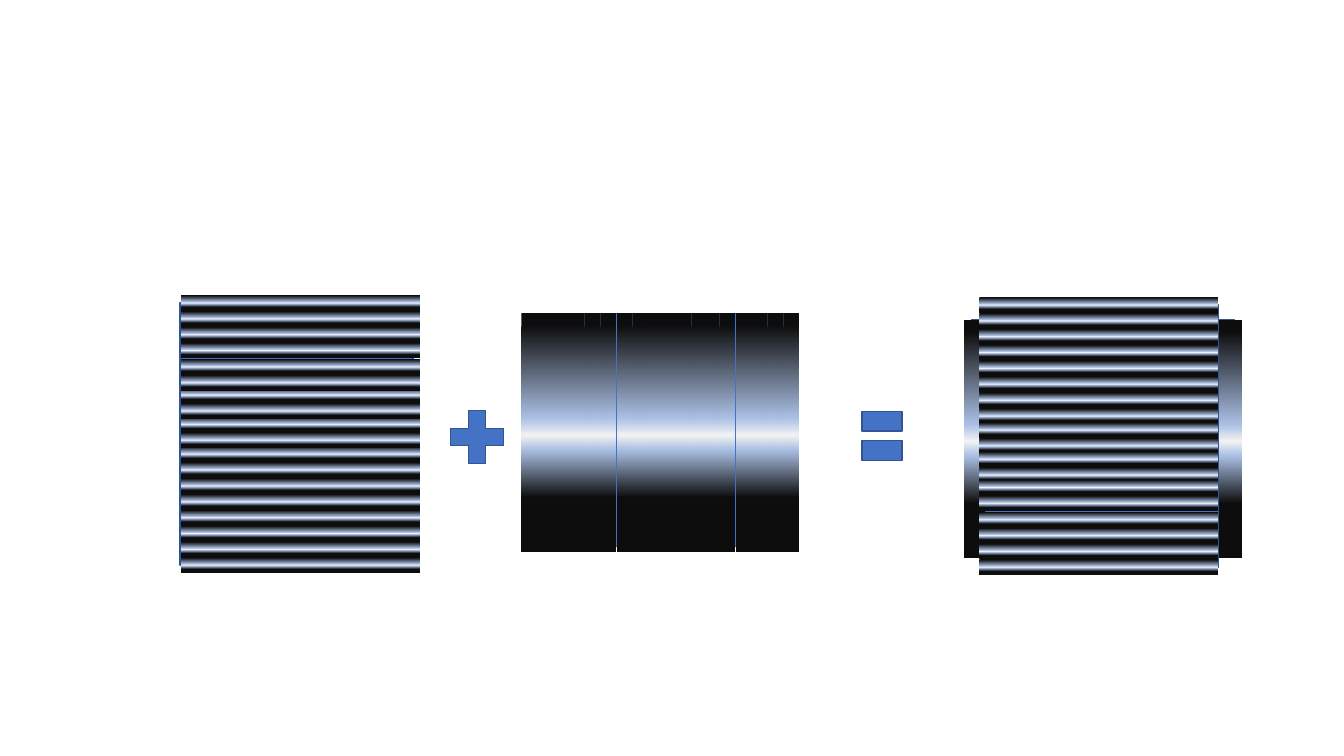
"""Two gratings of gradient bars added together to give a crossed grating."""
from lxml.etree import SubElement
from pptx import Presentation
from pptx.dml.color import RGBColor
from pptx.enum.shapes import MSO_SHAPE as Preset
from pptx.oxml.ns import qn
from pptx.util import Inches, Pt

BLUE = RGBColor(0x44, 0x72, 0xC4)
NAVY = RGBColor(0x32, 0x54, 0x91)
BLACK = RGBColor(0x0D, 0x0D, 0x0D)
SKY = RGBColor(0xAB, 0xC0, 0xE4)
PALE = RGBColor(0xF2, 0xF2, 0xF2)

COLUMNS, ROWS = 1333, 750
BAR_WIDTH, BAR_LENGTH, PITCH = 15.8, 237, 15.7
PLATE_SIZE = (260, 231)
GLOW = ((5, BLACK), (44, SKY), (51, PALE), (57, SKY), (77, BLACK))
FULL_RUNS = ((213, 4), (94.5, 2), (124, 2), (153, 2), (181, 2), (0, 6))
EDGE_RUNS = ((244.5, 2), (0, 2))


def bar_offsets(runs):
    """Return bar offsets in paint order, each run from its far end."""
    return [start + PITCH * step for start, count in runs for step in reversed(range(count))]


class Canvas:
    """Holds the style and the current slide, measured in grid columns and rows."""

    def __init__(self, deck):
        """Add a blank page and work out the grid cell."""
        self.page = deck.slides.add_slide(deck.slide_layouts[6])
        self.column = deck.slide_width / COLUMNS
        self.row = deck.slide_height / ROWS
        self.line_format = {"width": Pt(1)}

    def shape(self, parent, preset, left, top, width, height, turn=0):
        """Add a preset shape without shadow."""
        box = parent.shapes.add_shape(
            preset, round(left * self.column), round(top * self.row),
            round(width * self.column), round(height * self.row))
        box.rotation = turn
        box.shadow.inherit = False
        return box

    def solid(self, parent, preset, left, top, width, height, turn=0):
        """Add a blue shape with a navy outline."""
        box = self.shape(parent, preset, left, top, width, height, turn)
        box.fill.solid()
        box.fill.fore_color.rgb = BLUE
        box.line.color.rgb = NAVY
        for name, value in self.line_format.items():
            setattr(box.line, name, value)

    def bar(self, parent, left, top, turn):
        """Add a bar whose glow runs down the page whatever its turn."""
        box = self.shape(parent, Preset.RECTANGLE, left, top, BAR_WIDTH, BAR_LENGTH, turn)
        box.line.fill.background()
        box.fill.gradient()
        box.fill.gradient_angle = 270
        gradient = box._element.spPr.find(qn("a:gradFill"))
        gradient.set("rotWithShape", "0")
        stops = gradient.find(qn("a:gsLst"))
        stops.clear()
        for share, color in GLOW:
            stop = SubElement(stops, qn("a:gs"), pos=str(share * 1000))
            SubElement(stop, qn("a:srgbClr"), val=str(color))

    def grating(self, plate, first_bar, step, runs, turn=0):
        """Add a grouped plate and its bars, stepping by (columns, rows)."""
        group = self.page.shapes.add_group_shape()
        self.solid(group, Preset.RECTANGLE, *plate, *PLATE_SIZE, turn)
        left, top = first_bar
        across, down = step
        for offset in bar_offsets(runs):
            self.bar(group, left + across * offset, top + down * offset, turn)


deck = Presentation()
deck.slide_width, deck.slide_height = Inches(13.33), Inches(7.5)
canvas = Canvas(deck)
canvas.grating((524, 311), (517, 311), (1, 0), FULL_RUNS)
canvas.grating((164, 315), (290, 442), (0, -1), FULL_RUNS, 270)
canvas.solid(canvas.page, Preset.MATH_PLUS, 437, 398, 72, 71)
canvas.solid(canvas.page, Preset.MATH_EQUAL, 848, 391, 54, 83)
canvas.grating((964, 317), (956, 317), (1, 0), EDGE_RUNS)
canvas.grating((963, 317), (1082, 184), (0, 1), FULL_RUNS, 90)
deck.save("out.pptx")
